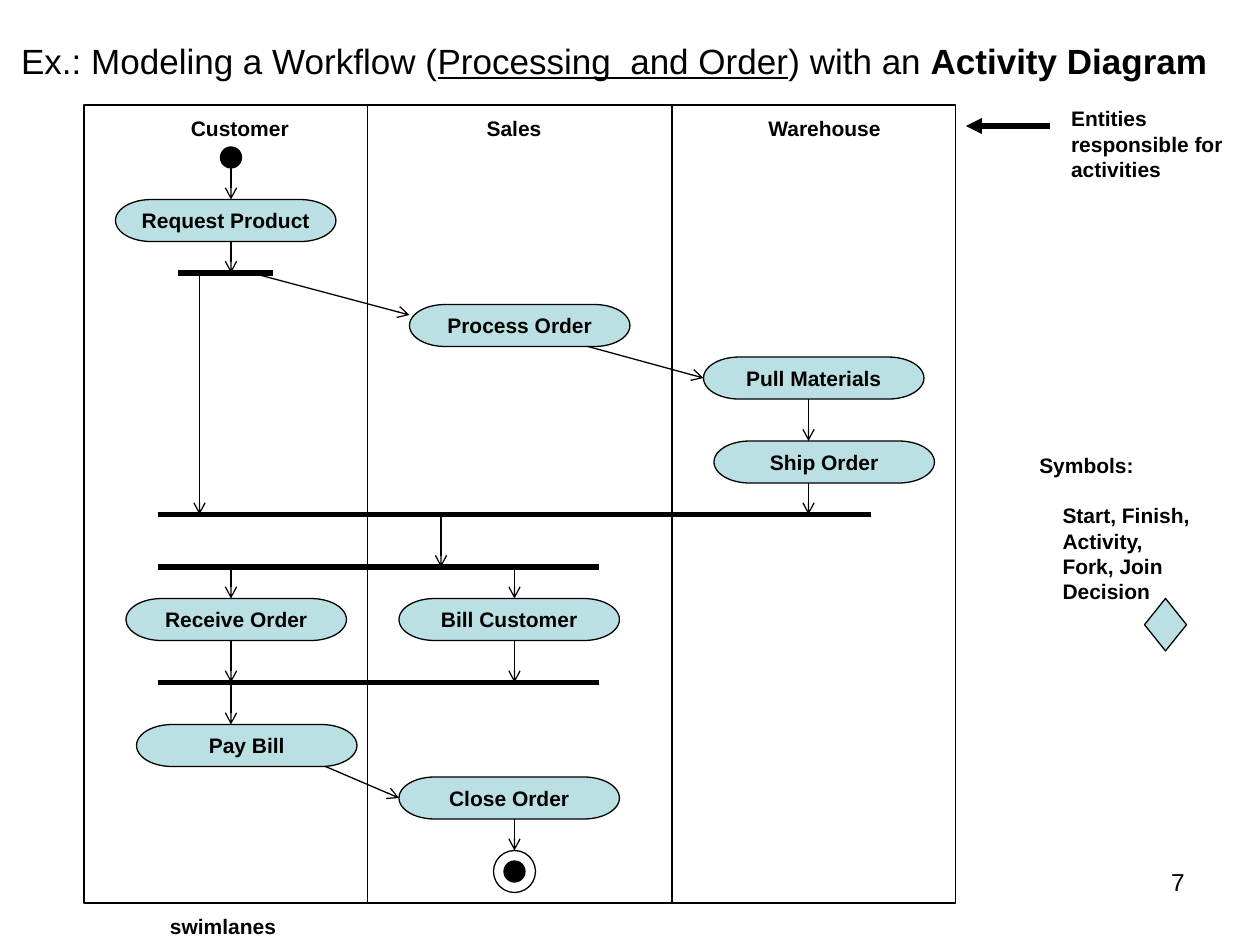
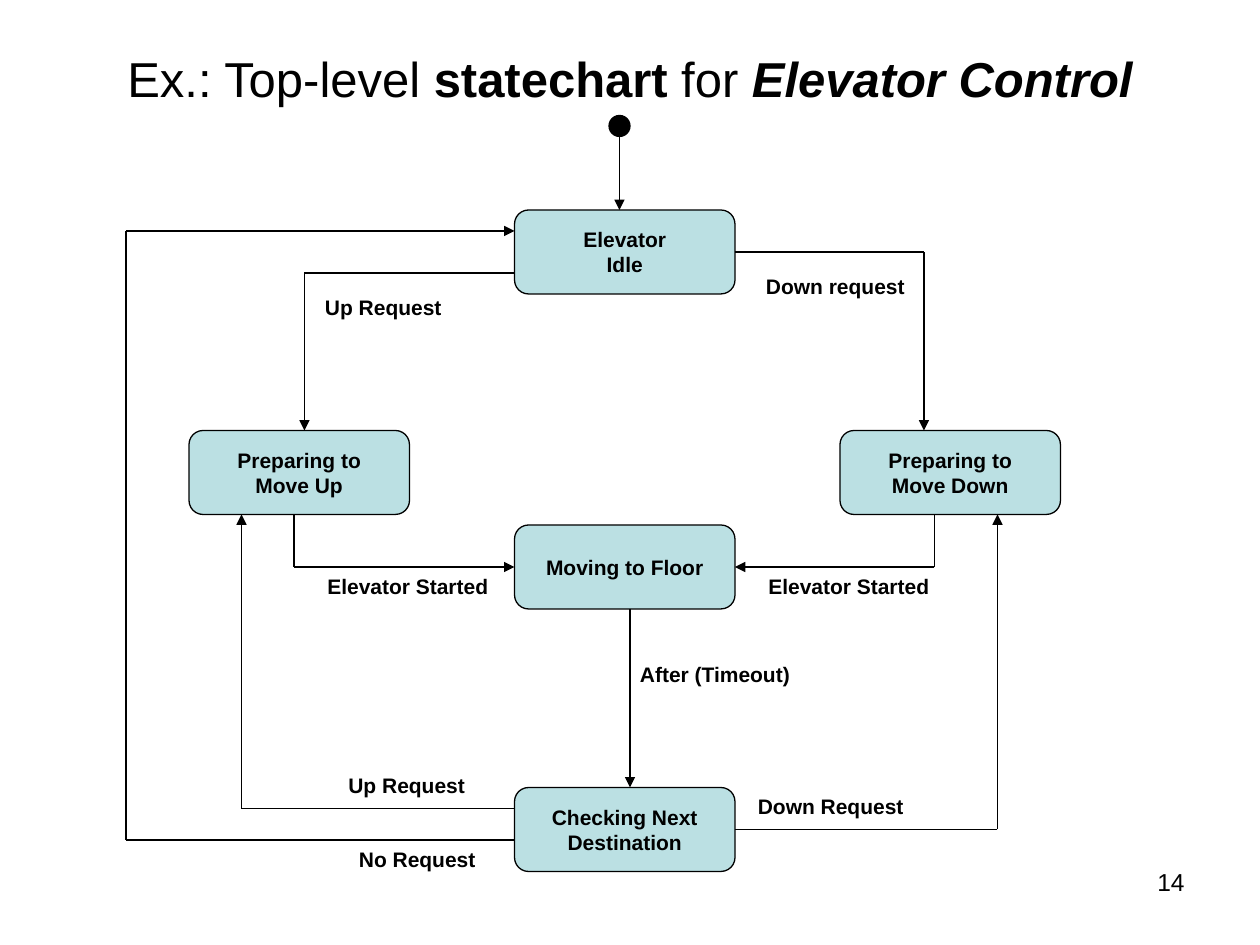
import pptx
import pptx.dml.color
import pptx.enum.shapes
import pptx.enum.text
import pptx.oxml.ns
import pptx.util
from lxml import etree

Pt = pptx.util.Pt
KIND = pptx.enum.shapes.MSO_SHAPE
ALIGN = pptx.enum.text.PP_ALIGN
ANCHOR = pptx.enum.text.MSO_ANCHOR
FONT, INK, TEAL = "Arial", "000000", "BBE0E3"
WIDE = 126  # width of every activity and state


def color(code):
    return pptx.dml.color.RGBColor.from_string(code)


def child(node, tag, **attrs):
    return etree.SubElement(node, pptx.oxml.ns.qn(tag), **attrs)


def write(frame, lines, size=12, align=ALIGN.LEFT, wrap=True, mid=False):
    """Each line is a list of (text, style) runs; style letters are b, i, u."""
    frame.word_wrap = wrap
    frame.vertical_anchor = ANCHOR.MIDDLE if mid else ANCHOR.TOP
    for n, line in enumerate(lines):
        para = frame.add_paragraph() if n else frame.paragraphs[0]
        para.alignment = align
        for text, style in line:
            run = para.add_run()
            run.text = text
            font = run.font
            font.name, font.size = FONT, Pt(size)
            font.color.rgb = color(INK)
            font.bold = "b" in style
            font.italic = "i" in style
            font.underline = "u" in style


def bold(text):
    return [[(line, "b")] for line in text.split("\n")]


class Area:
    """Draws on a slide, measuring from the corner of a box."""

    def __init__(self, slide, left, top):
        self.shapes, self.left, self.top = slide.shapes, left, top
        self.ports = {}

    def spot(self, x, y):
        return Pt(self.left + x), Pt(self.top + y)

    def shape(self, kind, x, y, w, h, fill=None):
        item = self.shapes.add_shape(kind, *self.spot(x, y), Pt(w), Pt(h))
        item.shadow.inherit = False
        if fill:
            item.fill.solid()
            item.fill.fore_color.rgb = color(fill)
        else:
            item.fill.background()
        item.line.color.rgb = color(INK)
        item.line.width = Pt(0.75)
        return item

    def dot(self, x, y):
        self.shape(KIND.OVAL, x, y, 12, 12, INK)

    def node(self, kind, text, x, y, h):
        item = self.shape(kind, x, y, WIDE, h, TEAL)
        write(item.text_frame, bold(text), align=ALIGN.CENTER,
              wrap=False, mid=True)
        sides = [(x + WIDE / 2, y), (x, y + h / 2),
                 (x + WIDE / 2, y + h), (x + WIDE, y + h / 2)]
        for site, side in enumerate(sides):
            self.ports[side] = item, site
        return item

    def text(self, x, y, w, h, lines, **look):
        box = self.shapes.add_textbox(*self.spot(x, y), Pt(w), Pt(h))
        write(box.text_frame, lines, **look)
        return box

    def label(self, text, x, y, w):
        self.text(x, y, w, 21.6, bold(text))

    def line(self, start, end, head=None, width=0.75):
        link = self.shapes.add_connector(
            pptx.enum.shapes.MSO_CONNECTOR.STRAIGHT,
            *self.spot(*start), *self.spot(*end))
        link.line.color.rgb = color(INK)
        link.line.width = Pt(width)
        if head:
            child(link.line._get_or_add_ln(), "a:tailEnd", type=head)
        child(link._element.spPr, "a:effectLst")
        # Join ends that meet the middle of a node's side
        if start in self.ports:
            link.begin_connect(*self.ports[start])
        if end in self.ports:
            link.end_connect(*self.ports[end])

    def route(self, *points):
        last = len(points) - 2
        for n, (start, end) in enumerate(zip(points, points[1:])):
            self.line(start, end, "triangle" if n == last else None)


def page(deck, box, runs, size, number):
    """Blank slide with its title and page number."""
    slide = deck.slides.add_slide(deck.slide_layouts[6])
    area = Area(slide, 0, 0)
    area.text(*box, [runs], size=size, align=ALIGN.CENTER, mid=True)
    area.text(516, 492, 168, 37.5, [[(number, "")]], size=14,
              align=ALIGN.RIGHT)
    return slide


def lanes(slide, left, top, w, h):
    """Activity diagram in three swimlanes."""
    area = Area(slide, left, top)
    area.shape(KIND.RECTANGLE, 0, 0, w, h)
    for x in (162, 336):
        area.line((x, 0), (x, h))
    for name, x, wide in (("Customer", 54, 72), ("Sales", 223, 47),
                          ("Warehouse", 384, 80)):
        area.label(name, x, 2.6, wide)
    area.label("swimlanes", 42, h + 2.4, 76)

    # Start and finish
    area.dot(78, 24)
    area.dot(240, 432)
    area.shape(KIND.OVAL, 234, 426, 24, 24)

    # Activities
    for name, x, y in (
            ("Request Product", 18, 54), ("Process Order", 186, 114),
            ("Pull Materials", 354, 144), ("Ship Order", 360, 192),
            ("Receive Order", 24, 282), ("Bill Customer", 180, 282),
            ("Pay Bill", 30, 354), ("Close Order", 180, 384)):
        area.node(KIND.FLOWCHART_TERMINATOR, name, x, y, 24)

    # Forks and joins
    for x, end, y in ((54, 108, 96), (42, 450, 234),
                      (42, 294, 264), (42, 294, 330)):
        area.line((x, y), (end, y), width=3)

    # Flow straight down: x, from, to
    for x, y, end in (
            (84, 30, 54), (84, 78, 96), (66, 96, 234), (414, 168, 192),
            (414, 216, 234), (204, 234, 264), (84, 264, 282),
            (246, 264, 282), (84, 306, 330), (246, 306, 330),
            (84, 330, 354), (246, 408, 426)):
        area.line((x, y), (x, end), "arrow")

    # Flow across lanes
    for start, end in (((96, 96), (186, 120)), ((288, 138), (354, 156)),
                       ((138, 378), (180, 396))):
        area.line(start, end, "arrow")


def notes(slide, left, top):
    """Remarks beside the swimlanes."""
    area = Area(slide, left, top)
    area.line((48, 15), (0, 15), "triangle", 3)
    area.text(53, 0, 102, 50.5, bold("Entities\nresponsible for\nactivities"))
    box = area.text(34.8, 198, 102, 93.5, bold(
        "Symbols:\nStart, Finish,\nActivity,\nFork, Join\nDecision"))
    items = box.text_frame.paragraphs[1:]
    items[0].space_before = Pt(14.5)
    for item in items:
        item._p.get_or_add_pPr().set("marL", str(Pt(13.3)))
    area.shape(KIND.DIAMOND, 102, 285, 24, 30, TEAL)


def states(slide, left, top):
    """Statechart of the elevator."""
    area = Area(slide, left, top)
    for name, x, y in (
            ("Elevator\nIdle", 222, 54), ("Moving to Floor", 222, 234),
            ("Preparing to\nMove Up", 36, 180),
            ("Preparing to\nMove Down", 408, 180),
            ("Checking Next\nDestination", 222, 384)):
        area.node(KIND.ROUNDED_RECTANGLE, name, x, y, 48)
    area.dot(276, 0)

    # Transitions
    for points in (
            ((282, 12), (282, 54)),
            ((348, 78), (456, 78), (456, 180)),
            ((222, 90), (102, 90), (102, 180)),
            ((96, 228), (96, 258), (222, 258)),
            ((462, 228), (462, 258), (348, 258)),
            ((288, 282), (288, 384)),
            ((348, 408), (498, 408), (498, 228)),
            ((222, 396), (66, 396), (66, 228)),
            ((222, 414), (0, 414), (0, 66), (222, 66))):
        area.route(*points)

    # Events
    for name, x, y, w in (
            ("Up Request", 106.6, 99, 82), ("Down request", 358.6, 86.6, 95),
            ("Elevator Started", 108, 258, 108),
            ("Elevator Started", 360, 258, 108),
            ("After (Timeout)", 286.6, 308.4, 102),
            ("Up Request", 120, 372, 82), ("Down Request", 354, 384, 100),
            ("No Request", 126, 414, 82)):
        area.label(name, x, y, w)


def main():
    deck = pptx.Presentation()
    deck.slide_width, deck.slide_height = Pt(720), Pt(540)

    flow = page(deck, (0, 12, 702, 45), [
        ("Ex.: Modeling a Workflow (", ""), ("Processing  and Order", "u"),
        (") with an ", ""), ("Activity Diagram", "b")], 20, "7")
    lanes(flow, 48, 60, 498, 456)
    notes(flow, 552, 57)

    chart = page(deck, (36, 22, 648, 45), [
        ("Ex.: Top-level ", ""), ("statechart", "b"), (" for ", ""),
        ("Elevator Control", "bi")], 28, "14")
    states(chart, 72, 66)

    deck.save("out.pptx")


if __name__ == "__main__":
    main()
